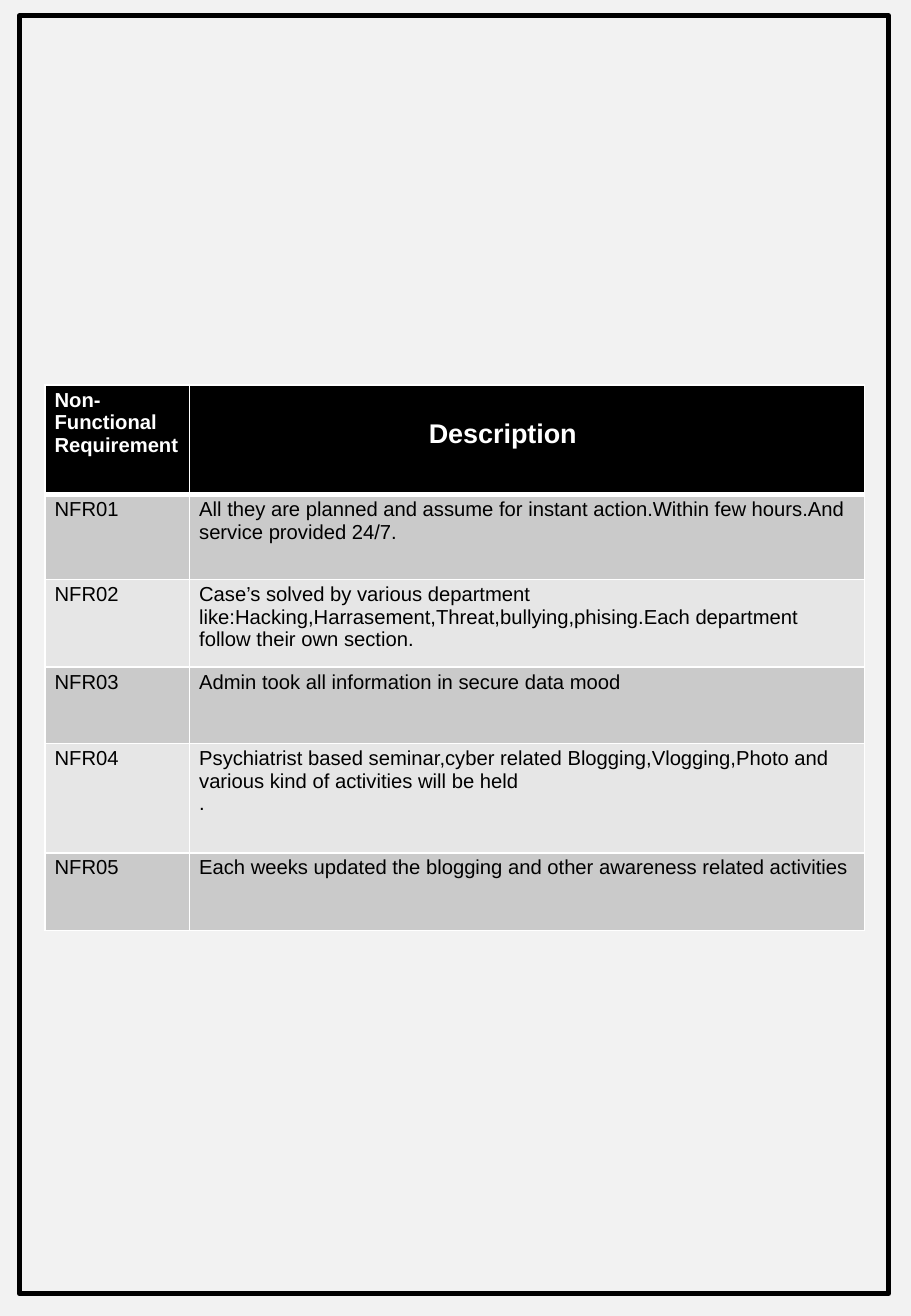
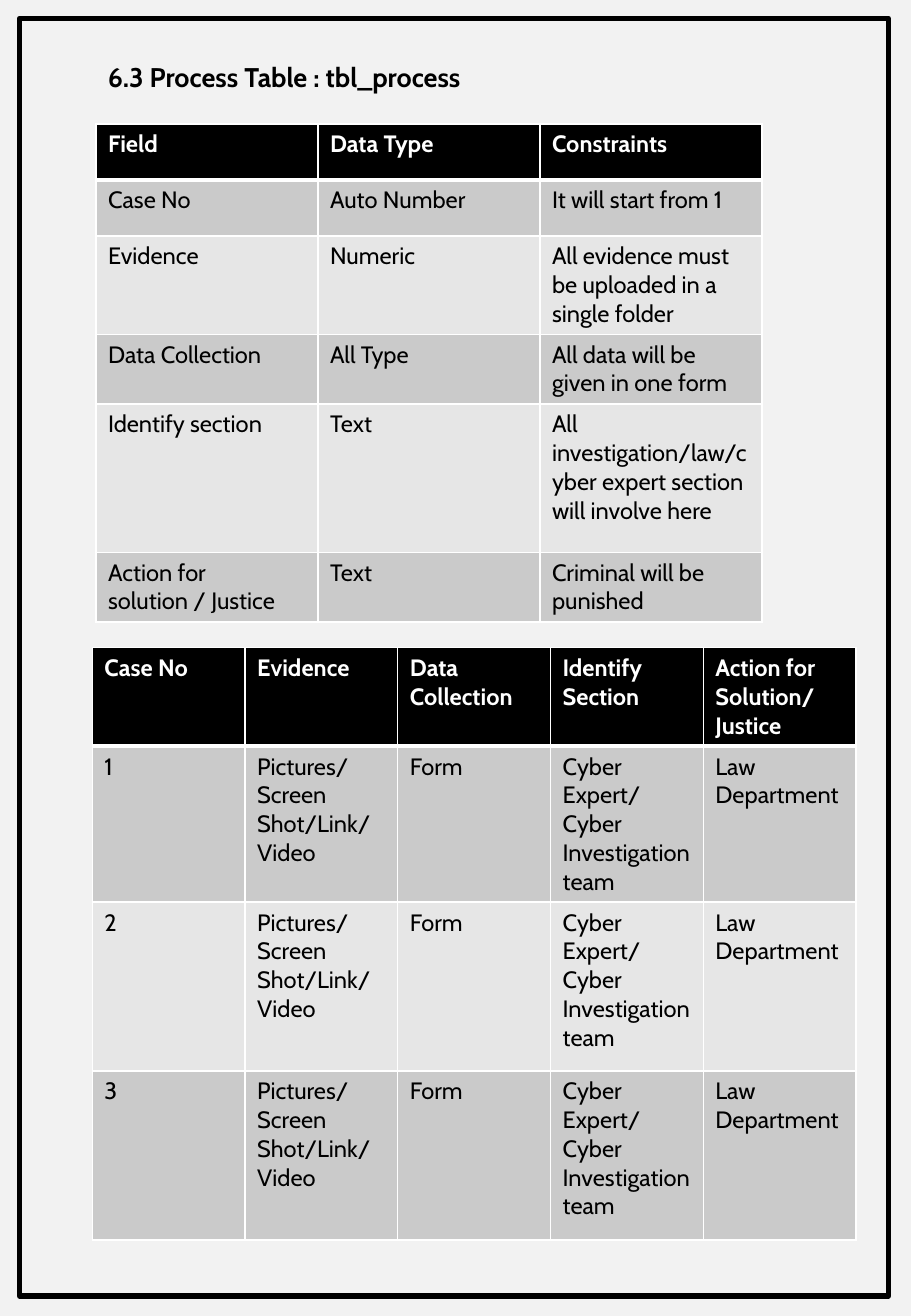
import lxml.etree
import pptx
import pptx.dml.color
import pptx.enum.shapes
import pptx.oxml
import pptx.oxml.ns
import pptx.util

BLACK, WHITE, PAPER = "000000", "FFFFFF", "F2F2F2"
BANDS = ["CACACA", "E6E6E6"]


def color(value):
    return pptx.dml.color.RGBColor.from_string(value)


def write(frame, text, font="Cabin", size=14, ink=BLACK, bold=False, spacing=None):
    frame.word_wrap = True
    frame.text = text
    for para in frame.paragraphs:
        para.line_spacing = spacing
        for span in para.runs:
            span.font.name = font
            span.font.size = pptx.util.Pt(size)
            span.font.bold = bold
            span.font.color.rgb = color(ink)


deck = pptx.Presentation()
deck.slide_width = pptx.util.Inches(7.5)
deck.slide_height = pptx.util.Inches(10.83)
column = deck.slide_width / 100
row = deck.slide_height / 100
background = deck.slide_master.background.fill
background.solid()
background.fore_color.rgb = color(PAPER)

requirements = {
    "left": 4.93, "top": 29.27,
    "columns": [15.87, 74.13],
    "rows": [8.31, 6.46, 6.65, 5.82, 8.31, 5.91],
    "font": "Arial", "size": 12, "margins": (0.08, 0.03),
    "cells": [
        ["Non-Functional\vRequirement", "Description"],
        ["NFR01", "All they are planned and assume for instant action.Within few hours.And service provided 24/7."],
        ["NFR02", "Case’s solved by various department\vlike:Hacking,Harrasement,Threat,bullying,phising."
                  "Each department follow their own section."],
        ["NFR03", "Admin took all information in secure data mood"],
        ["NFR04", "Psychiatrist based seminar,cyber related Blogging,Vlogging,Photo and "
                  "various kind of activities will be held\n."],
        ["NFR05", "Each weeks updated the blogging and other awareness related activities"],
    ],
}
fields = {
    "left": 10.53, "top": 9.42,
    "columns": [24.37] * 3,
    "rows": [4.25, 4.25, 7.11, 5.08, 11.27, 5.08],
    "font": "Cabin", "size": 14, "margins": (0.1, 0.05),
    "cells": [
        ["Field", "Data Type", "Constraints"],
        ["Case No", "Auto Number", "It will start from 1"],
        ["Evidence", "Numeric", "All evidence must be uploaded in a single folder"],
        ["Data Collection", "All Type", "All data will be given in one form"],
        ["Identify section", "Text", "All investigation/law/cyber expert section will involve here"],
        ["Action for solution / Justice", "Text", "Criminal will be punished"],
    ],
}
case_details = ["Pictures/Screen Shot/Link/Video", "Form", "Cyber Expert/ Cyber Investigation team", "Law Department"]
cases = {
    "left": 10.13, "top": 49.22,
    "columns": [16.77] * 5,
    "rows": [6.83, 10.8, 12.83, 12.83],
    "font": "Cabin", "size": 14, "margins": (0.1, 0.05),
    "cells": [
        ["Case No", "Evidence", "Data Collection", "Identify Section", "Action for Solution/ Justice"],
        *[[number, *case_details] for number in "123"],
    ],
}

pages = []
for frame_top, tables in [(1.2, [requirements]), (1.39, [fields, cases])]:
    page = deck.slides.add_slide(deck.slide_layouts[6])
    pages.append(page)
    border = page.shapes.add_shape(
        pptx.enum.shapes.MSO_SHAPE.RECTANGLE,
        int(2.13 * column), int(frame_top * row), int(95.4 * column), int(97.1 * row))
    border.shadow.inherit = False
    border.fill.background()
    border.line.color.rgb = color(BLACK)
    border.line.width = pptx.util.Pt(3)

    for content in tables:
        table = page.shapes.add_table(
            len(content["rows"]), len(content["columns"]),
            int(content["left"] * column), int(content["top"] * row),
            int(sum(content["columns"]) * column), int(sum(content["rows"]) * row)).table
        table.horz_banding = False
        for track, width in zip(table.columns, content["columns"]):
            track.width = int(width * column)
        side, edge = map(pptx.util.Inches, content["margins"])
        for index, (track, height, texts) in enumerate(zip(table.rows, content["rows"], content["cells"])):
            track.height = int(height * row)
            header = index == 0
            for cell, text in zip(track.cells, texts):
                cell.margin_left = cell.margin_right = side
                cell.margin_top = cell.margin_bottom = edge
                properties = cell._tc.get_or_add_tcPr()
                for tag in ["lnL", "lnR", "lnT", "lnB"]:
                    thick = (index, tag) in [(0, "lnB"), (1, "lnT")]
                    rule = lxml.etree.SubElement(
                        properties, pptx.oxml.ns.qn("a:" + tag), w=str(pptx.util.Pt(3 if thick else 1)))
                    fill = lxml.etree.SubElement(rule, pptx.oxml.ns.qn("a:solidFill"))
                    lxml.etree.SubElement(fill, pptx.oxml.ns.qn("a:srgbClr"), val=WHITE)
                cell.fill.solid()
                cell.fill.fore_color.rgb = color(BLACK if header else BANDS[(index - 1) % 2])
                write(cell.text_frame, text, font=content["font"], size=content["size"],
                      ink=WHITE if header else BLACK, bold=header)
        if content is requirements:
            description = table.cell(0, 1)
            description.margin_left = int(26.27 * column)
            write(description.text_frame, "Description", font="Arial", size=16, ink=WHITE, bold=True, spacing=2.0)

title = pages[1].shapes.add_textbox(
    int(10.53 * column), int(4.16 * row), int(56.67 * column), int(3.42 * row))
write(title.text_frame, "6.3 Process Table : tbl_process", size=16, bold=True)

deck.save("out.pptx")
